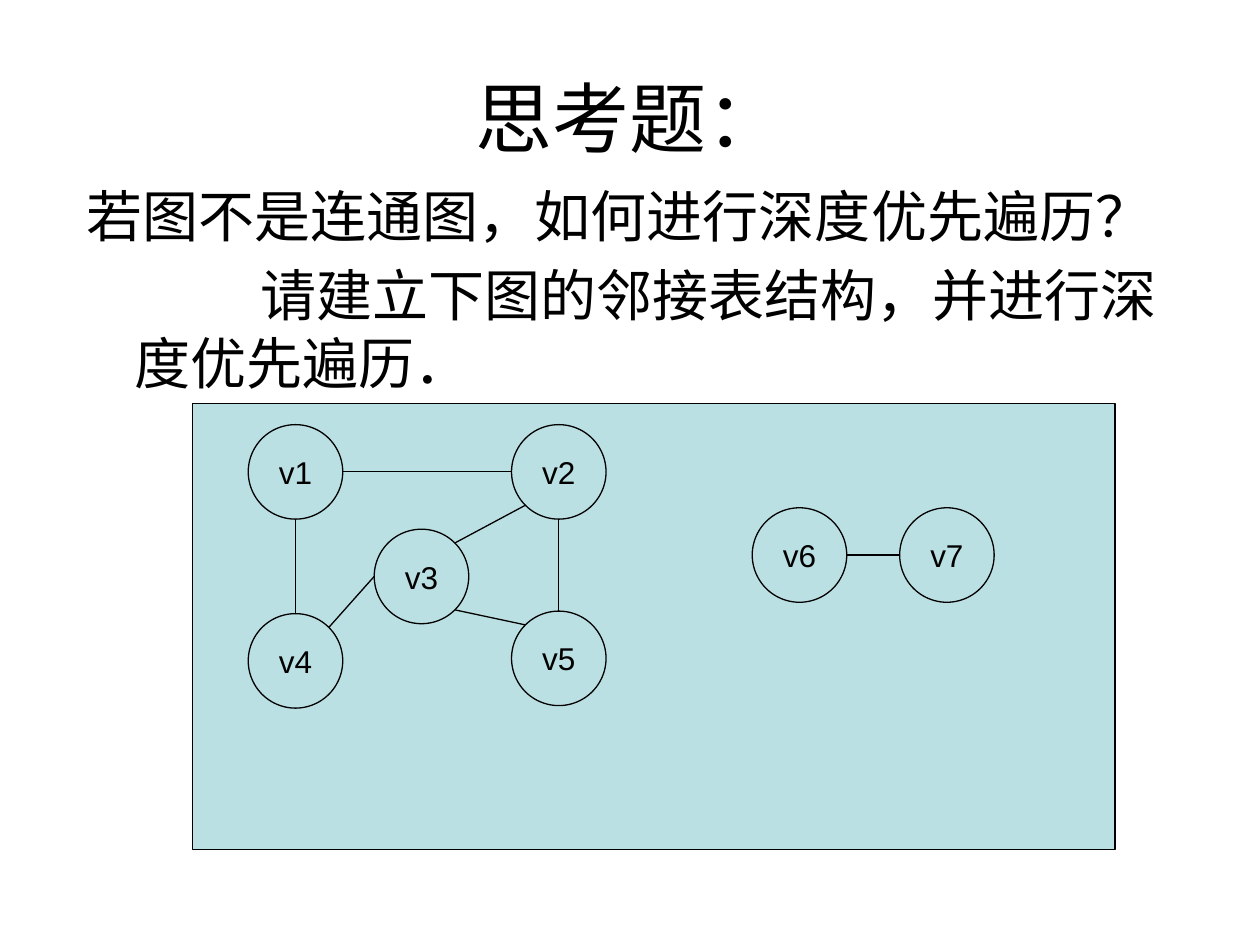
from math import cos, sin, pi
from pptx import Presentation
from pptx.dml.color import RGBColor
from pptx.enum.shapes import MSO_CONNECTOR as Link, MSO_SHAPE as Shape
from pptx.enum.text import MSO_ANCHOR as Anchor, PP_ALIGN as Align
from pptx.oxml.ns import qn
from pptx.util import Inches, Pt
from lxml.etree import SubElement

BLACK = RGBColor(0x00, 0x00, 0x00)
AQUA = RGBColor(0xBB, 0xE0, 0xE3)
COLS, ROWS = 100, 75
SIZE = 7.5  # node diameter in grid cells

# Node centres as column, row
NODES = {
    "v1": (23.45, 37.45), "v2": (44.35, 37.45), "v3": (33.45, 45.75),
    "v4": (23.45, 52.45), "v5": (44.35, 52.25),
    "v6": (63.45, 44.05), "v7": (75.15, 44.05),
}
# Each end is a node and the side of its circle that the edge meets
EDGES = [
    ("v1", "E", "v2", "W"), ("v1", "S", "v4", "N"), ("v4", "NE", "v3", "W"),
    ("v3", "SE", "v5", "NW"), ("v2", "S", "v5", "N"), ("v3", "NE", "v2", "SW"),
    ("v6", "E", "v7", "W"),
]
SIDES = ["E", "SE", "S", "SW", "W", "NW", "N", "NE"]


def write(frame, text, size=18, align=Align.LEFT, left=0, first=0, gap=0, new=False):
    """Put text in the frame's first paragraph, or in a new one; indents in inches."""
    para = frame.add_paragraph() if new else frame.paragraphs[0]
    para.alignment, para.space_before = align, Pt(gap)
    props = para._p.get_or_add_pPr()
    props.set("marL", str(Inches(left)))
    props.set("indent", str(Inches(first)))
    run = para.add_run()
    run.text = text
    run.font.size, run.font.name = Pt(size), "Arial"
    run.font.color.rgb = BLACK


def rim(node, side):
    """Return the point on a node's circle at a compass side."""
    col, row = NODES[node]
    turn = SIDES.index(side) * pi / 4
    return col + SIZE / 2 * cos(turn), row + SIZE / 2 * sin(turn)


class Board:
    """Holds the style, the slide and the grid it is laid out on."""

    def __init__(self, deck, fill=AQUA, ink=BLACK, width=0.75):
        self.slide = deck.slides.add_slide(deck.slide_layouts[6])
        self.cell = deck.slide_width / COLS
        self.fill, self.ink, self.width = fill, ink, Pt(width)

    def grid(self, *cells):
        return [round(n * self.cell) for n in cells]

    def stroke(self, line):
        line.color.rgb, line.width = self.ink, self.width

    def block(self, kind, *box):
        shape = self.slide.shapes.add_shape(kind, *self.grid(*box))
        shape.shadow.inherit = False
        shape.fill.solid()
        shape.fill.fore_color.rgb = self.fill
        self.stroke(shape.line)
        return shape

    def node(self, name):
        col, row = NODES[name]
        frame = self.block(Shape.OVAL, col - SIZE / 2, row - SIZE / 2, SIZE, SIZE).text_frame
        frame.margin_left = frame.margin_right = frame.margin_top = frame.margin_bottom = 0
        frame.word_wrap, frame.vertical_anchor = False, Anchor.MIDDLE
        write(frame, name, align=Align.CENTER)

    def edge(self, start, out, end, into):
        ends = self.grid(*rim(start, out), *rim(end, into))
        line = self.slide.shapes.add_connector(Link.STRAIGHT, *ends)
        self.stroke(line.line)
        SubElement(line._element.spPr, qn("a:effectLst"))

    def text(self, *box, anchor=Anchor.TOP):
        frame = self.slide.shapes.add_textbox(*self.grid(*box)).text_frame
        frame.word_wrap, frame.vertical_anchor = True, anchor
        return frame


def main():
    deck = Presentation()
    deck.slide_width, deck.slide_height = Inches(10), Inches(7.5)
    board = Board(deck)

    board.block(Shape.RECTANGLE, 15.3, 32, 73.2, 35.4)
    title = board.text(5, 3, 90, 12.5, anchor=Anchor.MIDDLE)
    write(title, "思考题：", size=44, align=Align.CENTER)
    body = board.text(5.9, 13.9, 90, 61.1)
    write(body, "若图不是连通图，如何进行深度优先遍历？",
          size=32, left=0.38, first=-0.38, gap=7)
    write(body, "请建立下图的邻接表结构，并进行深度优先遍历．",
          size=32, left=0.38, first=1, gap=7, new=True)

    for name in NODES:
        board.node(name)
    for edge in EDGES:
        board.edge(*edge)
    deck.save("out.pptx")


if __name__ == "__main__":
    main()
